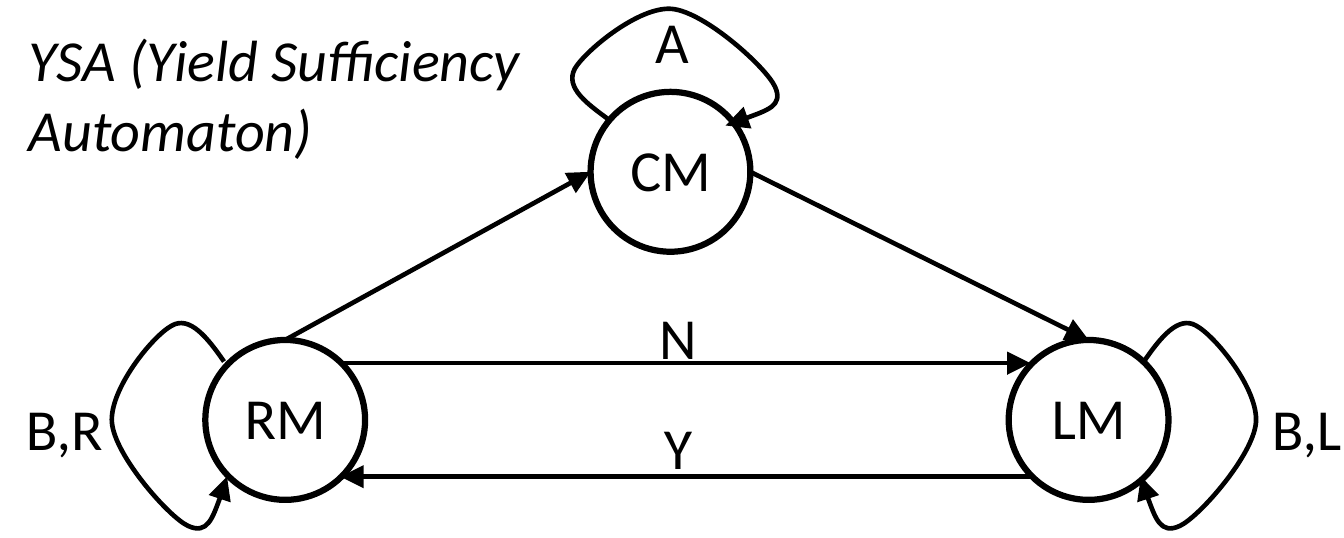
from lxml import etree
from pptx import Presentation
from pptx import util as u
from pptx.dml.color import RGBColor
from pptx.enum import shapes, text
from pptx.oxml.ns import qn

COLORS = {"ink": "000000", "paper": "FFFFFF"}
COLS, ROWS = 9, 3.6


class Diagram:
    """Draws automaton parts on a slide ruled in one-inch columns and rows."""

    def __init__(self, slide, font="Calibri", size=28, node=1.07):
        self.slide, self.font, self.size, self.node = slide, font, size, node
        self.ink = RGBColor.from_string(COLORS["ink"])
        bg = slide.background.fill
        bg.solid()
        bg.fore_color.rgb = RGBColor.from_string(COLORS["paper"])

    def stroke(self, sp, width, arrow=False):
        sp.line.color.rgb = self.ink
        sp.line.width = u.Pt(width)
        if arrow:
            ln = sp.line._get_or_add_ln()
            etree.SubElement(ln, qn("a:tailEnd"), type="triangle", w="lg", len="lg")

    def label(self, lines, x, y, w, h=0.57, italic=False, align=text.PP_ALIGN.CENTER):
        box = [u.Inches(n) for n in (x - w / 2, y - h / 2, w, h)]
        tf = self.slide.shapes.add_textbox(*box).text_frame
        tf.word_wrap = False
        tf.auto_size = text.MSO_AUTO_SIZE.SHAPE_TO_FIT_TEXT
        tf.text = lines
        for p in tf.paragraphs:
            p.alignment = align
            p.font.name, p.font.size = self.font, u.Pt(self.size)
            p.font.italic = italic
            p.font.color.rgb = self.ink

    def state(self, name, x, y, w):
        d = self.node
        box = [u.Inches(n) for n in (x - d / 2, y - d / 2, d, d)]
        sp = self.slide.shapes.add_shape(shapes.MSO_SHAPE.OVAL, *box)
        sp.shadow.inherit = False
        sp.fill.background()
        self.stroke(sp, 3)
        self.label(name, x, y - 0.02, w)

    def arrow(self, start, end):
        ends = [u.Inches(n) for n in (*start, *end)]
        sp = self.slide.shapes.add_connector(shapes.MSO_CONNECTOR.STRAIGHT, *ends)
        etree.SubElement(sp._element.spPr, qn("a:effectLst"))
        self.stroke(sp, 2.25, arrow=True)

    def loop(self, points):
        """Turns each three points after the first into one Bezier segment."""
        start, *rest = [(u.Inches(x), u.Inches(y)) for x, y in points]
        fb = self.slide.shapes.build_freeform(*start)
        fb.add_line_segments(rest, close=False)
        sp = fb.convert_to_shape()
        path = next(sp._element.iter(qn("a:path")))
        lines = path.findall(qn("a:lnTo"))
        for i in range(0, len(lines), 3):
            curve = etree.SubElement(path, qn("a:cubicBezTo"))
            for line in lines[i:i + 3]:
                curve.append(line[0])
                path.remove(line)
        sp.shadow.inherit = False
        sp.fill.background()
        self.stroke(sp, 2.25, arrow=True)


prs = Presentation()
prs.slide_width, prs.slide_height = u.Inches(COLS), u.Inches(ROWS)
d = Diagram(prs.slides.add_slide(prs.slide_layouts[6]))

RM, LM, CM = (1.91, 2.81), (7.29, 2.81), (4.49, 1.15)
for name, center, width in (("RM", RM, 0.75), ("LM", LM, 0.7), ("CM", CM, 0.75)):
    d.state(name, *center, width)

r = d.node / 2
d.arrow((RM[0], RM[1] - r), (CM[0] - r, CM[1]))
d.arrow((CM[0] + r, CM[1]), (LM[0], LM[1] - r))
d.arrow((2.28, 2.43), (6.9, 2.43))
d.arrow((6.9, 3.19), (2.28, 3.19))

for symbol, x, y, width in (("B,R", 0.43, 2.86, 0.72), ("N", 4.54, 2.25, 0.46),
                            ("Y", 4.54, 2.99, 0.39), ("B,L", 8.75, 2.86, 0.67),
                            ("A", 4.5, 0.27, 0.43)):
    d.label(symbol, x, y, width)

left_loop = [(1.5, 2.42), (1.39, 2.26), (1.27, 2.11), (1.15, 2.18),
             (1.02, 2.25), (0.73, 2.61), (0.75, 2.83), (0.77, 3.05),
             (1.13, 3.46), (1.26, 3.52), (1.39, 3.58), (1.46, 3.39), (1.52, 3.19)]
top_loop = [(4.09, 0.81), (3.94, 0.7), (3.78, 0.59), (3.85, 0.46),
            (3.92, 0.34), (4.28, 0.04), (4.5, 0.06), (4.72, 0.08),
            (5.13, 0.45), (5.19, 0.58), (5.25, 0.71), (5.06, 0.77), (4.86, 0.84)]
right_loop = [(9.16 - x, y) for x, y in left_loop]
for points in (top_loop, left_loop, right_loop):
    d.loop(points)

d.label("YSA (Yield Sufficiency\nAutomaton)", 1.86, 0.63, 3.53, 1.04,
        italic=True, align=text.PP_ALIGN.LEFT)
prs.save("out.pptx")
